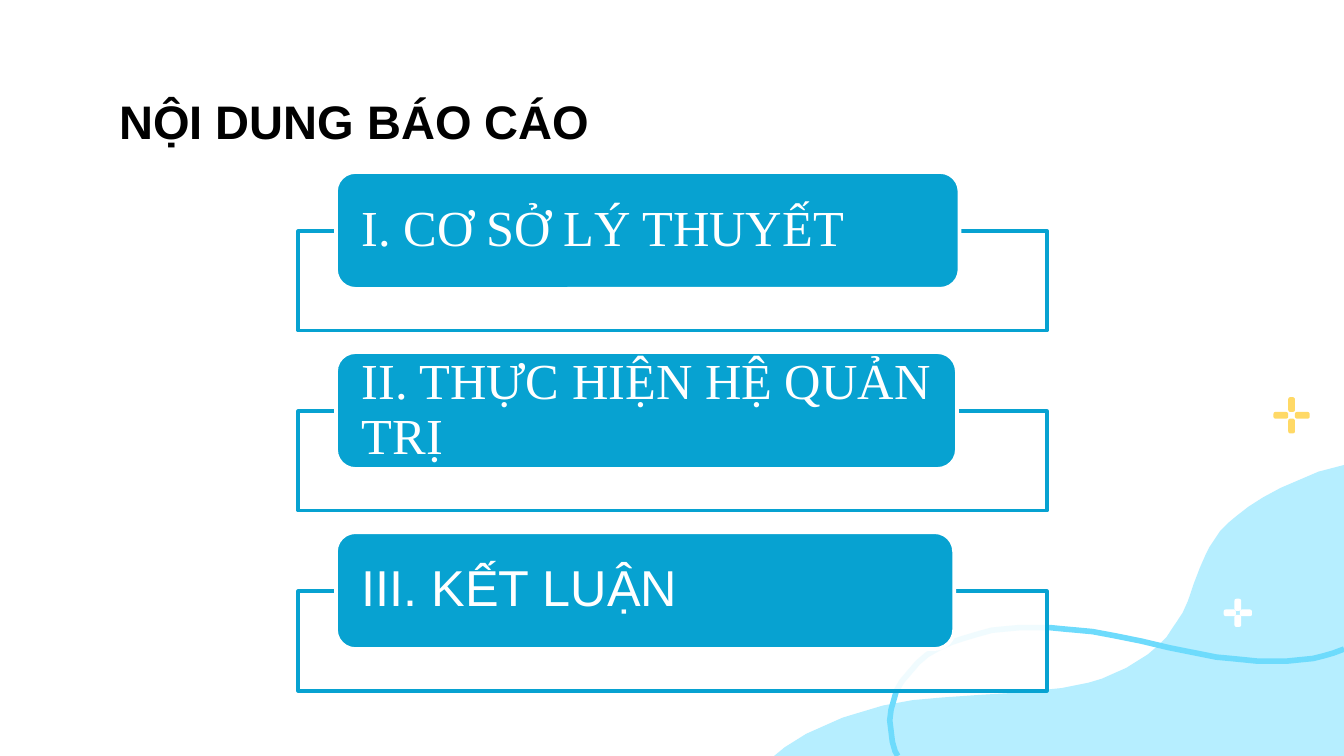
import pptx
import pptx.util
import pptx.dml.color
import pptx.enum.shapes
import pptx.enum.text
import pptx.oxml
import pptx.oxml.ns

Inches = pptx.util.Inches
Pt = pptx.util.Pt
RGBColor = pptx.dml.color.RGBColor
SHAPE = pptx.enum.shapes.MSO_SHAPE
ANCHOR = pptx.enum.text.MSO_ANCHOR
ALIGN = pptx.enum.text.PP_ALIGN

BLACK = RGBColor(0x00, 0x00, 0x00)
WHITE = RGBColor(0xFF, 0xFF, 0xFF)
BLUE = RGBColor(0x07, 0xA2, 0xD1)
PALE_BLUE = RGBColor(0xB6, 0xEE, 0xFF)
SKY = RGBColor(0x6E, 0xDB, 0xFC)
YELLOW = RGBColor(0xFF, 0xD9, 0x66)

SLIDE_WIDTH = 10
SLIDE_HEIGHT = SLIDE_WIDTH * 9 / 16

HILL = [
    (5.76, SLIDE_HEIGHT), (5.84, 5.56), (5.92, 5.51), (6, 5.46), (6.09, 5.42), (6.18, 5.38),
    (6.27, 5.34), (6.37, 5.31), (6.47, 5.28), (6.57, 5.25), (6.68, 5.23), (6.79, 5.21),
    (6.9, 5.2), (7.01, 5.19), (7.3, 5.17), (7.64, 5.15), (7.8, 5.13), (7.9, 5.12),
    (8, 5.1), (8.1, 5.08), (8.2, 5.05), (8.29, 5.01), (8.38, 4.97), (8.46, 4.92),
    (8.54, 4.87), (8.61, 4.81), (8.68, 4.74), (8.72, 4.68), (8.76, 4.62), (8.8, 4.56),
    (8.84, 4.47), (8.88, 4.35), (8.93, 4.22), (8.97, 4.13), (9, 4.07), (9.04, 4.01),
    (9.08, 3.95), (9.14, 3.89), (9.2, 3.84), (9.29, 3.77), (9.4, 3.7), (9.53, 3.63),
    (9.67, 3.57), (9.81, 3.51), (10, 3.46), (SLIDE_WIDTH, SLIDE_HEIGHT),
]
WAVE = [
    (6.68, SLIDE_HEIGHT), (6.66, 5.59), (6.64, 5.52), (6.63, 5.44), (6.62, 5.36), (6.63, 5.28),
    (6.65, 5.21), (6.67, 5.14), (6.71, 5.07), (6.77, 5), (6.83, 4.93), (6.9, 4.87),
    (6.99, 4.82), (7.08, 4.78), (7.17, 4.75), (7.27, 4.72), (7.38, 4.69), (7.48, 4.68),
    (7.59, 4.67), (7.7, 4.67), (7.81, 4.67), (7.91, 4.68), (8.02, 4.69), (8.13, 4.7),
    (8.29, 4.73), (8.49, 4.77), (8.7, 4.82), (8.9, 4.86), (9.05, 4.89), (9.16, 4.9),
    (9.26, 4.91), (9.36, 4.92), (9.47, 4.92), (9.57, 4.92), (9.67, 4.91), (9.77, 4.9),
    (9.85, 4.88), (9.92, 4.86), (10, 4.83),
]
SECTIONS = [
    ("I. CƠ SỞ LÝ THUYẾT", "Times New Roman"),
    ("II. THỰC HIỆN HỆ QUẢN TRỊ", "Times New Roman"),
    ("III. KẾT LUẬN", "Arial"),
]


def apply_format(target, values):
    for key, value in values.items():
        setattr(target, key, value)


def paint(shape, fill=None, line=None, width=2):
    shape.shadow.inherit = False
    if fill is None:
        shape.fill.background()
    else:
        shape.fill.solid()
        shape.fill.fore_color.rgb = fill
    if line is None:
        shape.line.fill.background()
    else:
        shape.line.color.rgb = line
        shape.line.width = Pt(width)


def add_block(slide, kind, left, top, width, height, **colours):
    block = slide.shapes.add_shape(
        kind, Inches(left), Inches(top), Inches(width), Inches(height))
    paint(block, **colours)
    return block


def add_outline(slide, points, closed, **colours):
    corners = [(Inches(x), Inches(y)) for x, y in points]
    builder = slide.shapes.build_freeform(*corners[0])
    builder.add_line_segments(corners[1:], close=closed)
    paint(builder.convert_to_shape(), **colours)


def write(shape, wording, frame_format, paragraph_format, font_format, colour):
    frame = shape.text_frame
    apply_format(frame, frame_format)
    paragraph = frame.paragraphs[0]
    apply_format(paragraph, paragraph_format)
    run = paragraph.add_run()
    run.text = wording
    apply_format(run.font, font_format)
    run.font.color.rgb = colour


def add_sparkle(slide, centre_x, centre_y, offset, length, colour):
    thickness = 0.05
    for dx, dy in ((0, -1), (0, 1), (-1, 0), (1, 0)):
        width, height = (length, thickness) if dx else (thickness, length)
        ray = add_block(
            slide, SHAPE.ROUNDED_RECTANGLE,
            centre_x + dx * offset - width / 2, centre_y + dy * offset - height / 2,
            width, height, fill=colour)
        ray.adjustments[0] = 0.3


def add_scenery(slide):
    add_outline(slide, HILL, True, fill=PALE_BLUE)
    add_outline(slide, WAVE, False, line=SKY, width=3)
    add_sparkle(slide, 9.61, 3.09, 0.08, 0.11, YELLOW)
    add_sparkle(slide, 9.21, 4.56, 0.06, 0.09, WHITE)


def add_title(slide, left, top, width, height):
    title = slide.shapes.add_textbox(
        Inches(left), Inches(top), Inches(width), Inches(height))
    margins = dict.fromkeys(
        ("margin_left", "margin_top", "margin_right", "margin_bottom"), Inches(0.1))
    write(title, "NỘI DUNG BÁO CÁO",
          {"word_wrap": True, "vertical_anchor": ANCHOR.TOP, **margins},
          {"line_spacing": 1.0},
          {"name": "Arial", "size": Pt(25.2), "bold": True}, BLACK)


def add_section(slide, left, top, width, label_width, wording, font_name):
    bracket = add_block(slide, SHAPE.RECTANGLE, left, top + 0.44, width, 0.74,
                        fill=WHITE, line=BLUE)
    colour = bracket.fill._xPr.find(".//" + pptx.oxml.ns.qn("a:srgbClr"))
    colour.append(pptx.oxml.parse_xml(
        '<a:alpha %s val="90000"/>' % pptx.oxml.ns.nsdecls("a")))
    label = add_block(slide, SHAPE.ROUNDED_RECTANGLE, left + 0.28, top,
                      label_width, 0.87, fill=BLUE, line=WHITE)
    write(label, wording,
          {"word_wrap": True, "vertical_anchor": ANCHOR.MIDDLE,
           "margin_left": Inches(0.15), "margin_right": Inches(0.15),
           "margin_top": 0, "margin_bottom": 0},
          {"alignment": ALIGN.LEFT, "line_spacing": 0.9},
          {"name": font_name, "size": Pt(27)}, WHITE)


def add_agenda(slide, left, top, width):
    for index, (wording, font_name) in enumerate(SECTIONS):
        add_section(slide, left, top + index * 1.34, width,
                    4.64 - index * 0.02, wording, font_name)


def main():
    presentation = pptx.Presentation()
    presentation.slide_width = Inches(SLIDE_WIDTH)
    presentation.slide_height = Inches(SLIDE_HEIGHT)
    slide = presentation.slides.add_slide(presentation.slide_layouts[6])
    slide.background.fill.solid()
    slide.background.fill.fore_color.rgb = WHITE
    add_scenery(slide)
    add_title(slide, 0.79, 0.59, 8.43, 0.63)
    add_agenda(slide, 2.22, 1.28, 5.57)
    presentation.save("out.pptx")


if __name__ == "__main__":
    main()
